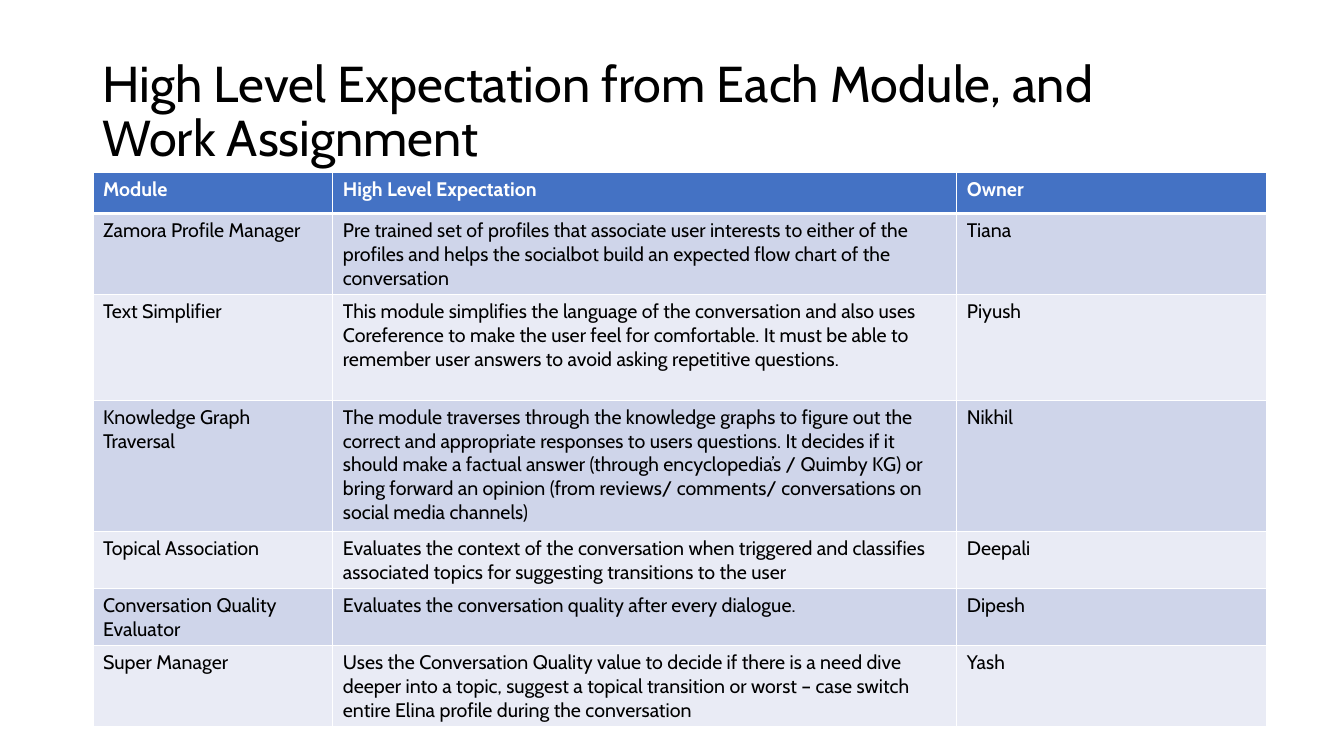
import pptx
import pptx.dml.color
import pptx.enum.text
import pptx.oxml
import pptx.oxml.ns
import pptx.util

Pt = pptx.util.Pt
RGBColor = pptx.dml.color.RGBColor

FONT = "Cabin"
BLACK = RGBColor(0x00, 0x00, 0x00)
WHITE = RGBColor(0xFF, 0xFF, 0xFF)
HEADER_BLUE = RGBColor(0x44, 0x72, 0xC4)
BAND_DARK = RGBColor(0xCF, 0xD5, 0xEA)
BAND_LIGHT = RGBColor(0xE9, 0xEB, 0xF5)

TITLE_LINES = ["High Level Expectation from Each Module, and", "Work Assignment"]
COLUMN_WIDTHS = [171.4, 445.7, 221]
ROW_HEIGHTS = [29.2, 56.9, 75.6, 93.6, 29.2, 29.2, 29.2]
MODULE_ROWS = [
    ("Module", "High Level Expectation", "Owner"),
    ("Zamora Profile Manager",
     "Pre trained set of profiles that associate user interests to either of the "
     "profiles and helps the socialbot build an expected flow chart of the conversation",
     "Tiana"),
    ("Text Simplifier",
     "This module simplifies the language of the conversation and also uses "
     "Coreference to make the user feel for comfortable. It must be able to "
     "remember user answers to avoid asking repetitive questions.",
     "Piyush"),
    ("Knowledge Graph Traversal",
     "The module traverses through the knowledge graphs to figure out the "
     "correct and appropriate responses to users questions. It decides if it "
     "should make a factual answer (through encyclopedia’s / Quimby KG) or "
     "bring forward an opinion (from reviews/ comments/ conversations on "
     "social media channels)",
     "Nikhil"),
    ("Topical Association",
     "Evaluates the context of the conversation when triggered and classifies "
     "associated topics for suggesting transitions to the user",
     "Deepali"),
    ("Conversation Quality Evaluator",
     "Evaluates the conversation quality after every dialogue.",
     "Dipesh"),
    ("Super Manager",
     "Uses the Conversation Quality value to decide if there is a need dive "
     "deeper into a topic, suggest a topical transition or worst – case switch "
     "entire Elina profile during the conversation",
     "Yash"),
]


def add_span(para, text, size, color, bold=False):
    span = para.add_run()
    span.text = text
    span.font.name = FONT
    span.font.size = Pt(size)
    span.font.bold = bold
    span.font.color.rgb = color


def add_title(page, left, top, width, height):
    box = page.shapes.add_textbox(Pt(left), Pt(top), Pt(width), Pt(height))
    frame = box.text_frame
    frame.word_wrap = True
    frame.vertical_anchor = pptx.enum.text.MSO_ANCHOR.MIDDLE
    para = frame.paragraphs[0]
    para.line_spacing = 0.9
    for index, line in enumerate(TITLE_LINES):
        if index:
            para.add_line_break()
        add_span(para, line, 36, BLACK)


def set_borders(cell, **widths):
    """Draw white cell edges; widths in points, keyed by side."""
    properties = cell._tc.get_or_add_tcPr()
    namespace = pptx.oxml.ns.nsdecls("a")
    for side, width in widths.items():
        properties.append(pptx.oxml.parse_xml(
            f'<a:ln{side} {namespace} w="{Pt(width)}"><a:solidFill>'
            f'<a:srgbClr val="{WHITE}"/></a:solidFill></a:ln{side}>'))


def add_module_table(page, left, top):
    table = page.shapes.add_table(
        len(MODULE_ROWS), len(COLUMN_WIDTHS), Pt(left), Pt(top),
        Pt(sum(COLUMN_WIDTHS)), Pt(sum(ROW_HEIGHTS))).table
    for column, width in zip(table.columns, COLUMN_WIDTHS):
        column.width = Pt(width)

    for index, (row, texts) in enumerate(zip(table.rows, MODULE_ROWS)):
        row.height = Pt(ROW_HEIGHTS[index])
        header = index == 0
        band = BAND_DARK if index % 2 else BAND_LIGHT
        for cell, text in zip(row.cells, texts):
            # A thicker rule separates the header from the first module
            set_borders(cell, L=1, R=1, T=3 if index == 1 else 1, B=3 if header else 1)
            cell.fill.solid()
            cell.fill.fore_color.rgb = HEADER_BLUE if header else band
            add_span(cell.text_frame.paragraphs[0], text, 14,
                     WHITE if header else BLACK, bold=header)


def main():
    deck = pptx.Presentation()
    deck.slide_width, deck.slide_height = Pt(960), Pt(540)
    page = deck.slides.add_slide(deck.slide_layouts[6])
    add_title(page, 66, 28.75, 828, 104.4)
    add_module_table(page, 66.4, 123.4)
    deck.save("out.pptx")


if __name__ == "__main__":
    main()
